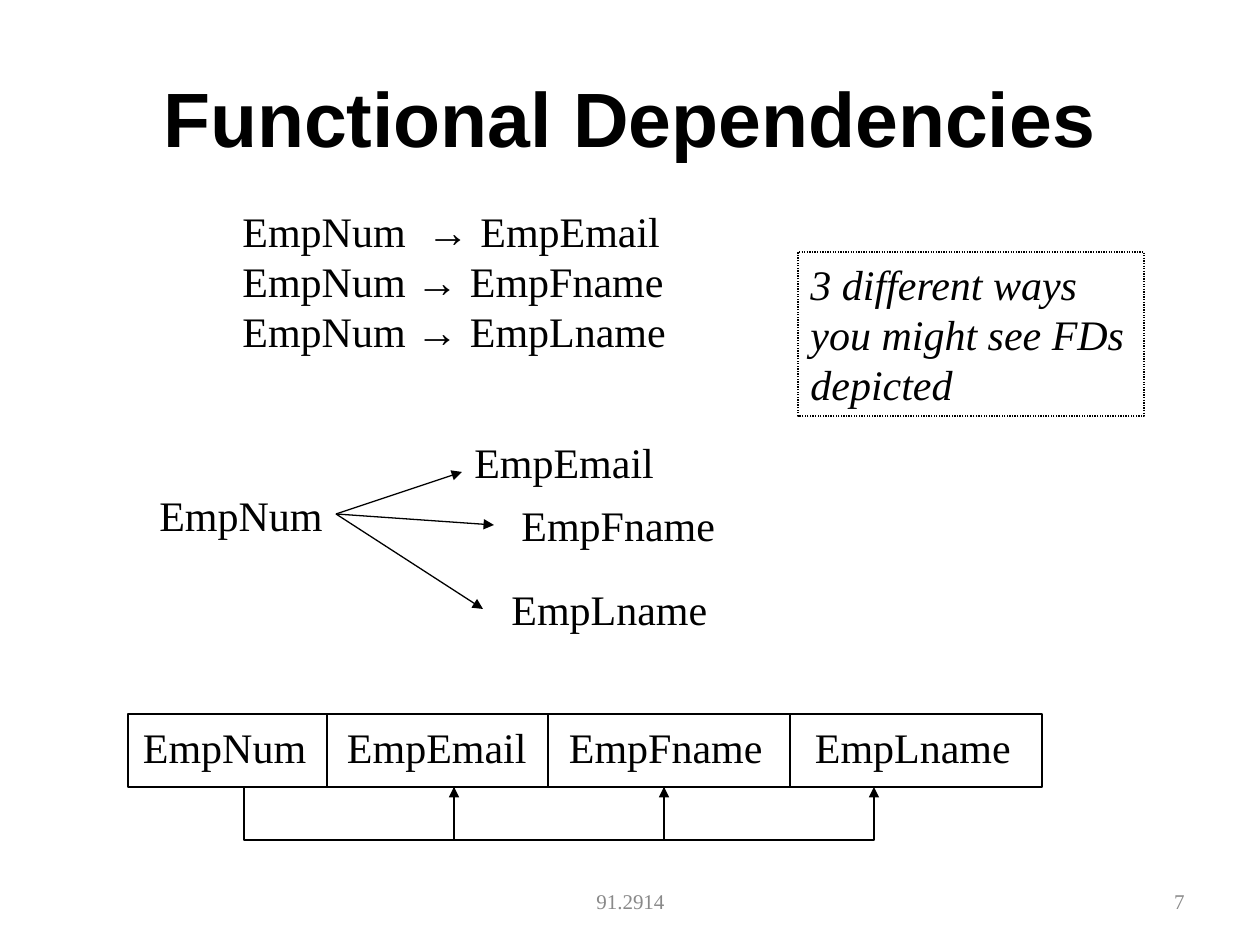
"""Build the slide on three ways of depicting functional dependencies."""
from dataclasses import dataclass

from lxml.etree import SubElement
from pptx import Presentation
from pptx.dml.color import RGBColor
from pptx.enum.dml import MSO_LINE
from pptx.enum.shapes import MSO_CONNECTOR, MSO_SHAPE
from pptx.enum.text import MSO_ANCHOR, PP_ALIGN
from pptx.oxml.ns import qn
from pptx.util import Emu, Pt

SCALE = 914400 / 126
COLORS = {"ink": "000000", "muted": "898989"}
SERIF, SANS = "Times New Roman", "Arial"


@dataclass
class Label:
    text: str
    x: int
    y: int
    w: int
    h: int = 63
    size: int = 24
    color: str = "ink"
    align: PP_ALIGN = PP_ALIGN.LEFT
    anchor: MSO_ANCHOR = MSO_ANCHOR.TOP


@dataclass
class Cell:
    text: str
    w: int
    inset: int


def px(n: float) -> Emu:
    return Emu(round(n * SCALE))


def box(*lengths: int) -> list[Emu]:
    return [px(n) for n in lengths]


def add_run(p, text: str, size: int = 24, font: str = SERIF, color: str = "ink",
            bold: bool = False, italic: bool = False) -> None:
    r = p.add_run()
    r.text = text
    r.font.size, r.font.name = Pt(size), font
    r.font.bold, r.font.italic = bold, italic
    r.font.color.rgb = RGBColor.from_string(COLORS[color])


def add_label(shapes, label: Label) -> None:
    tf = shapes.add_textbox(*box(label.x, label.y, label.w, label.h)).text_frame
    tf.word_wrap = True
    tf.vertical_anchor = label.anchor
    p = tf.paragraphs[0]
    p.alignment = label.align
    add_run(p, label.text, label.size, color=label.color)


def style_line(sp, arrow: bool = False) -> None:
    sp.line.color.rgb = RGBColor.from_string(COLORS["ink"])
    sp.line.width = Pt(0.74)
    if arrow:
        ln = sp.element.spPr.find(qn("a:ln"))
        SubElement(ln, qn("a:tailEnd"), type="triangle")


def add_rect(shapes, x: int, y: int, w: int, h: int, text: str,
             inset: float = 12.6, top: float = 6.3, italic: bool = False):
    sp = shapes.add_shape(MSO_SHAPE.RECTANGLE, *box(x, y, w, h))
    sp.shadow.inherit = False
    sp.fill.background()
    style_line(sp)
    tf = sp.text_frame
    tf.word_wrap = True
    tf.vertical_anchor = MSO_ANCHOR.TOP
    tf.margin_left, tf.margin_top, tf.margin_right = px(inset), px(top), px(6)
    p = tf.paragraphs[0]
    p.alignment = PP_ALIGN.LEFT
    add_run(p, text, italic=italic)
    return sp


def add_arrow(shapes, start: tuple[int, int], end: tuple[int, int]) -> None:
    cxn = shapes.add_connector(MSO_CONNECTOR.STRAIGHT, *box(*start, *end))
    style_line(cxn, arrow=True)
    SubElement(cxn.element.spPr, qn("a:effectLst"))


def add_bracket(shapes, x: int, y: int, w: int, h: int) -> None:
    fb = shapes.build_freeform(x, y, scale=SCALE)
    fb.add_line_segments([(x, y + h), (x + w, y + h), (x + w, y)], close=False)
    sp = fb.convert_to_shape()
    sp.shadow.inherit = False
    sp.fill.background()
    style_line(sp, arrow=True)


def main() -> None:
    prs = Presentation()
    prs.slide_width, prs.slide_height = box(1260, 945)
    s = prs.slides.add_slide(prs.slide_layouts[5])
    shapes = s.shapes

    title = shapes.title
    title.left, title.top, title.width, title.height = box(63, 38, 1134, 157)
    title.text_frame.vertical_anchor = MSO_ANCHOR.MIDDLE
    p = title.text_frame.paragraphs[0]
    p.alignment = PP_ALIGN.CENTER
    add_run(p, "Functional Dependencies", 44, SANS, bold=True)

    tf = shapes.add_textbox(*box(230, 199, 459, 164)).text_frame
    tf.word_wrap = True
    rules = [("EmpNum  ", "EmpEmail"), ("EmpNum ", "EmpFname"), ("EmpNum ", "EmpLname")]
    for i, (key, dependent) in enumerate(rules):
        p = tf.add_paragraph() if i else tf.paragraphs[0]
        add_run(p, key)
        add_run(p, "→ ", font=SANS)
        add_run(p, dependent)

    labels = [
        Label("EmpNum", 147, 483, 200),
        Label("EmpEmail", 462, 430, 215),
        Label("EmpFname", 509, 493, 230),
        Label("EmpLname", 499, 577, 230),
        Label("91.2914", 431, 876, 399, 50, 12, "muted", PP_ALIGN.CENTER, MSO_ANCHOR.MIDDLE),
        Label("7", 903, 876, 294, 50, 12, "muted", PP_ALIGN.RIGHT, MSO_ANCHOR.MIDDLE),
    ]
    for label in labels:
        add_label(shapes, label)

    for end in [(462, 472), (494, 525), (483, 609)]:
        add_arrow(shapes, (336, 514), end)

    cells = [
        Cell("EmpNum", 199, 15),
        Cell("EmpEmail", 221, 20),
        Cell("EmpFname", 242, 21),
        Cell("EmpLname", 252, 25),
    ]
    x = 128
    for cell in cells:
        add_rect(shapes, x, 714, cell.w, 73, cell.text, cell.inset, 8)
        x += cell.w

    for i in range(3):
        add_bracket(shapes, 244 + 210 * i, 787, 210, 53)

    note = add_rect(shapes, 798, 252, 346, 164,
                    "3 different ways you might see FDs depicted", italic=True)
    note.line.dash_style = MSO_LINE.ROUND_DOT

    prs.save("out.pptx")


main()
